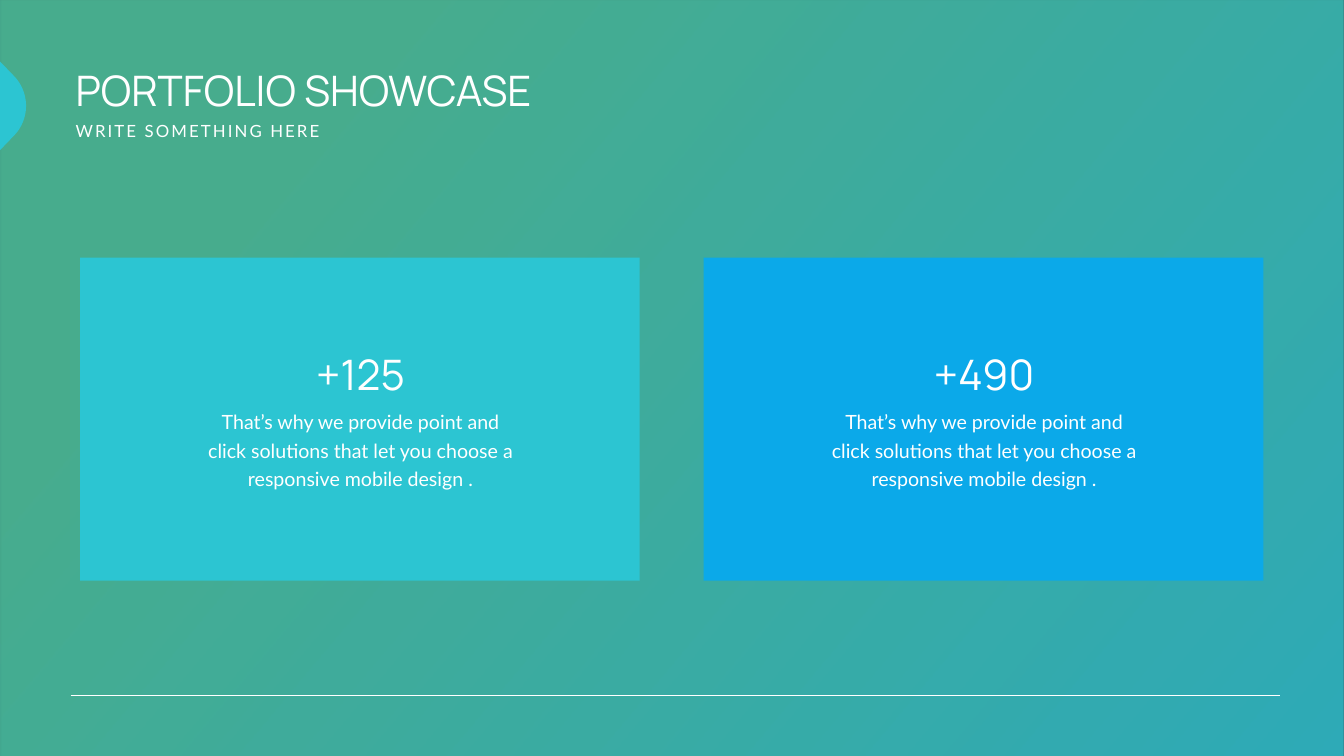
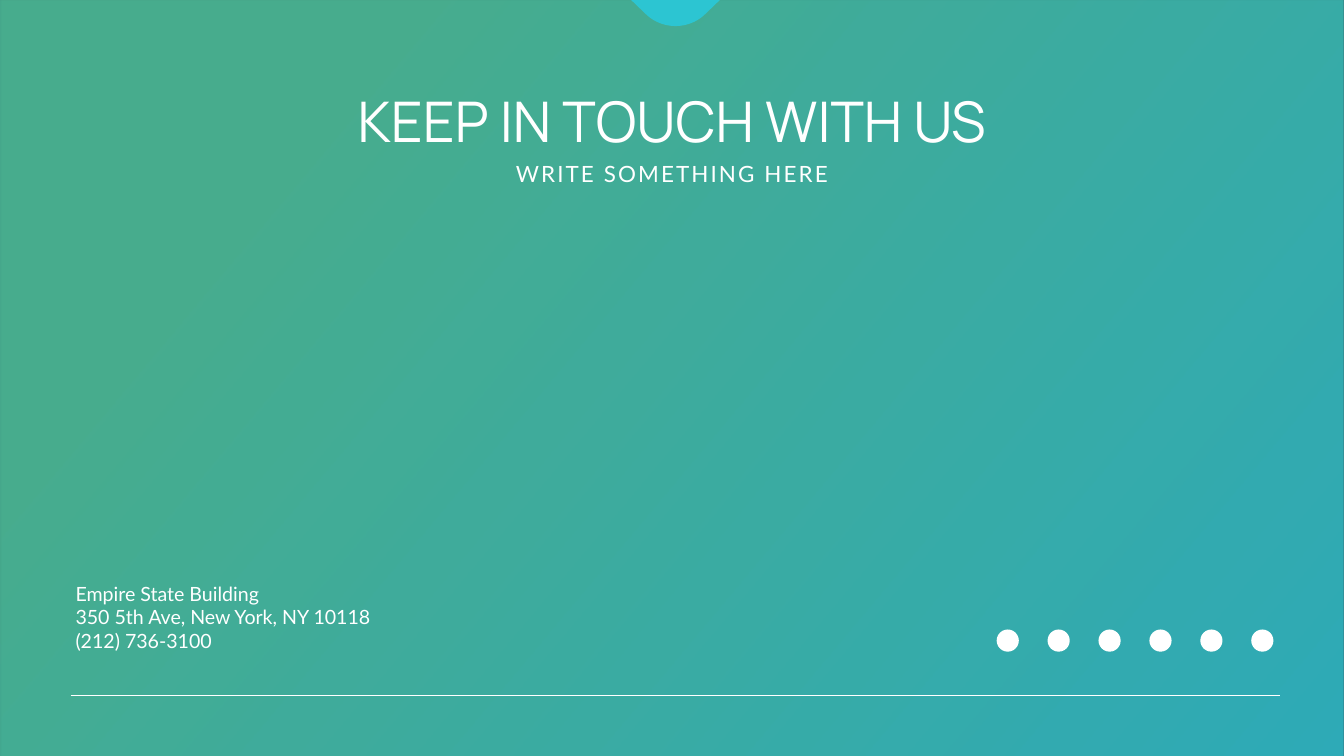
from typing import NamedTuple

from lxml import etree
from pptx import Presentation
from pptx import util as u
from pptx.dml.color import RGBColor
from pptx.enum import shapes, text
from pptx.oxml import parse_xml
from pptx.oxml.ns import nsdecls, qn

COLUMNS, ROWS = 26.66, 15
UNIT = u.Inches(1)
COLORS = {
    "backdrop": "363D48",
    "green": "4BC79F",
    "teal": "2CC5D2",
    "blue": "0BA9E9",
    "white": "FFFFFF",
}
TITLE_FONT, BODY_FONT = "Manrope", "Lato"
LEFT, CENTER = text.PP_ALIGN.LEFT, text.PP_ALIGN.CENTER


class Box(NamedTuple):
    """A rectangle measured in grid columns and rows."""
    left: float
    top: float
    width: float
    height: float

    def inner(self, left, top, width, height):
        """Return a box placed relative to this one's corner."""
        return Box(self.left + left, self.top + top, width, height)

    def emu(self):
        """Return the box as slide lengths."""
        return [grid(value) for value in self]


def grid(value):
    """Turn grid units into a slide length."""
    return u.Emu(round(value * UNIT))


def color(name):
    """Look up a palette colour."""
    return RGBColor.from_string(COLORS[name])


def paint(shape, name):
    """Give a shape a flat fill without line or shadow."""
    shape.fill.solid()
    shape.fill.fore_color.rgb = color(name)
    shape.line.fill.background()
    shape.shadow.inherit = False


def add_block(slide, kind, box, name):
    """Add a flat preset shape."""
    shape = slide.shapes.add_shape(kind, *box.emu())
    paint(shape, name)
    return shape


def add_text(slide, box, words, size, font=BODY_FONT, align=LEFT,
             wrap=True, line_spacing=None, tracking=0):
    """Add white text, one paragraph per line of words."""
    frame = slide.shapes.add_textbox(*box.emu()).text_frame
    frame.word_wrap = wrap
    frame.auto_size = text.MSO_AUTO_SIZE.SHAPE_TO_FIT_TEXT
    frame.text = words
    for paragraph in frame.paragraphs:
        paragraph.alignment = align
        if line_spacing:
            paragraph.line_spacing = u.Pt(line_spacing)
        for run in paragraph.runs:
            run.font.name = font
            run.font.size = u.Pt(size)
            run.font.color.rgb = color("white")
            if tracking:
                run.font._element.set("spc", str(tracking * 100))


def add_backdrop(slide):
    """Lay the translucent diagonal gradient over the dark background."""
    slide.background.fill.solid()
    slide.background.fill.fore_color.rgb = color("backdrop")
    shape = add_block(slide, shapes.MSO_SHAPE.RECTANGLE, Box(0, 0, COLUMNS, ROWS), "teal")
    shape.rotation = 180
    properties = shape._element.spPr
    properties.find(qn("a:xfrm")).set("flipV", "1")
    stops = "".join(
        f'<a:gs pos="{position}000"><a:srgbClr val="{COLORS[name]}">'
        '<a:alpha val="80000"/></a:srgbClr></a:gs>'
        for position, name in ((22, "green"), (99, "teal")))
    gradient = parse_xml(
        f'<a:gradFill {nsdecls("a")} rotWithShape="1"><a:gsLst>{stops}</a:gsLst>'
        f'<a:lin ang="{140 * 60000}" scaled="0"/></a:gradFill>')
    properties.replace(properties.find(qn("a:solidFill")), gradient)


def add_footer_line(slide):
    """Draw the thin line along the bottom."""
    line = slide.shapes.add_connector(
        shapes.MSO_CONNECTOR.STRAIGHT, grid(1.4), grid(13.79), grid(25.4), grid(13.79))
    line.line.color.rgb = color("white")
    line.line.width = u.Pt(0.5)
    etree.SubElement(line._element.spPr, qn("a:effectLst"))


def add_edge_tab(slide, center, on_left):
    """Draw the rounded tab growing from the left or the top edge."""
    outline = [(-0.88, 0)]
    for step in range(25):
        t = step / 24
        s = 1 - t
        along = 0.6 * (t ** 3 - s ** 3) + 0.81 * s * t * (t - s)
        depth = 0.27 * (s ** 3 + t ** 3) + 1.8 * s * t
        outline.append((along, depth))
    outline.append((0.88, 0))
    points = [(grid(depth), grid(center + along)) if on_left
              else (grid(center + along), grid(depth)) for along, depth in outline]
    builder = slide.shapes.build_freeform(*points[0])
    builder.add_line_segments(points[1:], close=True)
    paint(builder.convert_to_shape(), "teal")


def add_heading(slide, box, title, size, subtitle_width, align=LEFT):
    """Stack the title and its spaced subtitle in a box."""
    title_height = 0.7 * box.height
    add_text(slide, box.inner(0, 0, box.width, title_height), title, size, TITLE_FONT, align)
    indent = (box.width - subtitle_width) / 2 if align == CENTER else 0
    subtitle_box = box.inner(indent, title_height, subtitle_width, box.height - title_height)
    add_text(slide, subtitle_box, "WRITE SOMETHING HERE", 0.4 * size, align=align,
             wrap=False, tracking=3)


def add_card(slide, box, name, number):
    """Draw a coloured card with a large number and a sentence."""
    add_block(slide, shapes.MSO_SHAPE.RECTANGLE, box, name)
    add_text(slide, box.inner(2.34, 2.88, 6.44, 1.78),
             "That’s why we provide point and click solutions that let you choose "
             "a responsive mobile design .",
             28, align=CENTER, line_spacing=40.8)
    add_text(slide, box.inner(3.95, 1.76, 3.22, 1.11), number, 60, TITLE_FONT, CENTER)


def add_social_row(slide, box, count=6):
    """Spread plain round markers evenly over a box."""
    pitch = (box.width - box.height) / (count - 1)
    for index in range(count):
        marker = box.inner(index * pitch, 0, box.height, box.height)
        add_block(slide, shapes.MSO_SHAPE.OVAL, marker, "white")


def new_slide(presentation):
    """Add a blank slide with the shared backdrop and footer line."""
    slide = presentation.slides.add_slide(presentation.slide_layouts[6])
    add_backdrop(slide)
    add_footer_line(slide)
    return slide


def build_portfolio(presentation):
    """Build the slide with two number cards."""
    slide = new_slide(presentation)
    add_heading(slide, Box(1.4, 1.24, 16.06, 1.59), "PORTFOLIO SHOWCASE", 60, 5.14)
    add_edge_tab(slide, 2.1, on_left=True)
    first_card = Box(1.59, 5.11, 11.1, 6.41)
    for index, (name, number) in enumerate((("teal", "+125"), ("blue", "+490"))):
        add_card(slide, first_card.inner(index * 12.37, 0, 11.1, 6.41), name, number)


def build_contact(presentation):
    """Build the closing slide with the address."""
    slide = new_slide(presentation)
    add_social_row(slide, Box(19.77, 12.49, 5.49, 0.44))
    add_text(slide, Box(1.4, 11.49, 6.36, 1.51),
             "Empire State Building\n350 5th Ave, New York, NY 10118\n(212) 736-3100",
             28, wrap=False)
    add_heading(slide, Box(6.04, 1.66, 14.58, 2.09), "KEEP IN TOUCH WITH US", 80, 6.51, CENTER)
    add_edge_tab(slide, 13.4, on_left=False)


def main():
    """Build and save the presentation."""
    presentation = Presentation()
    presentation.slide_width = grid(COLUMNS)
    presentation.slide_height = grid(ROWS)
    build_portfolio(presentation)
    build_contact(presentation)
    presentation.save("out.pptx")


if __name__ == "__main__":
    main()
